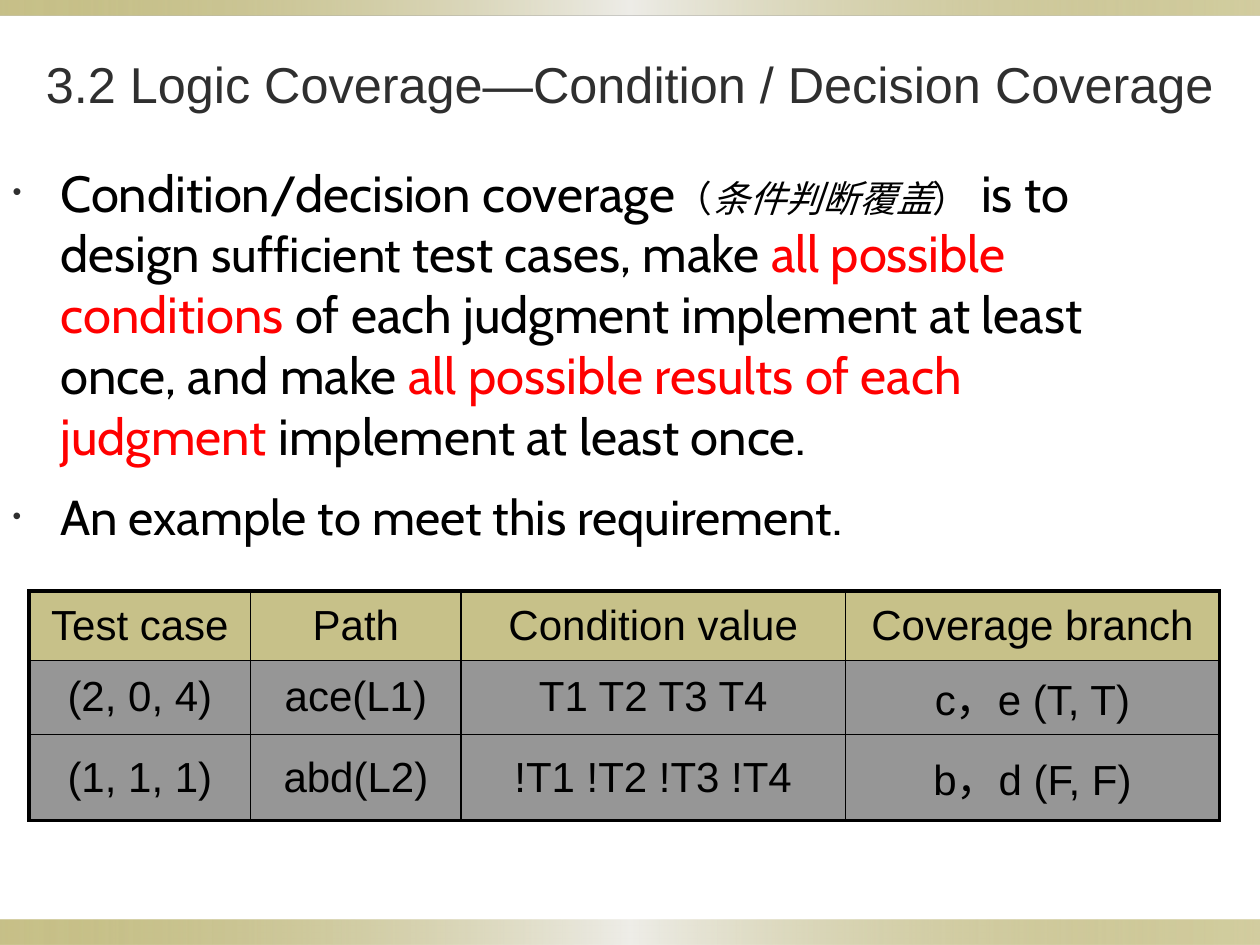
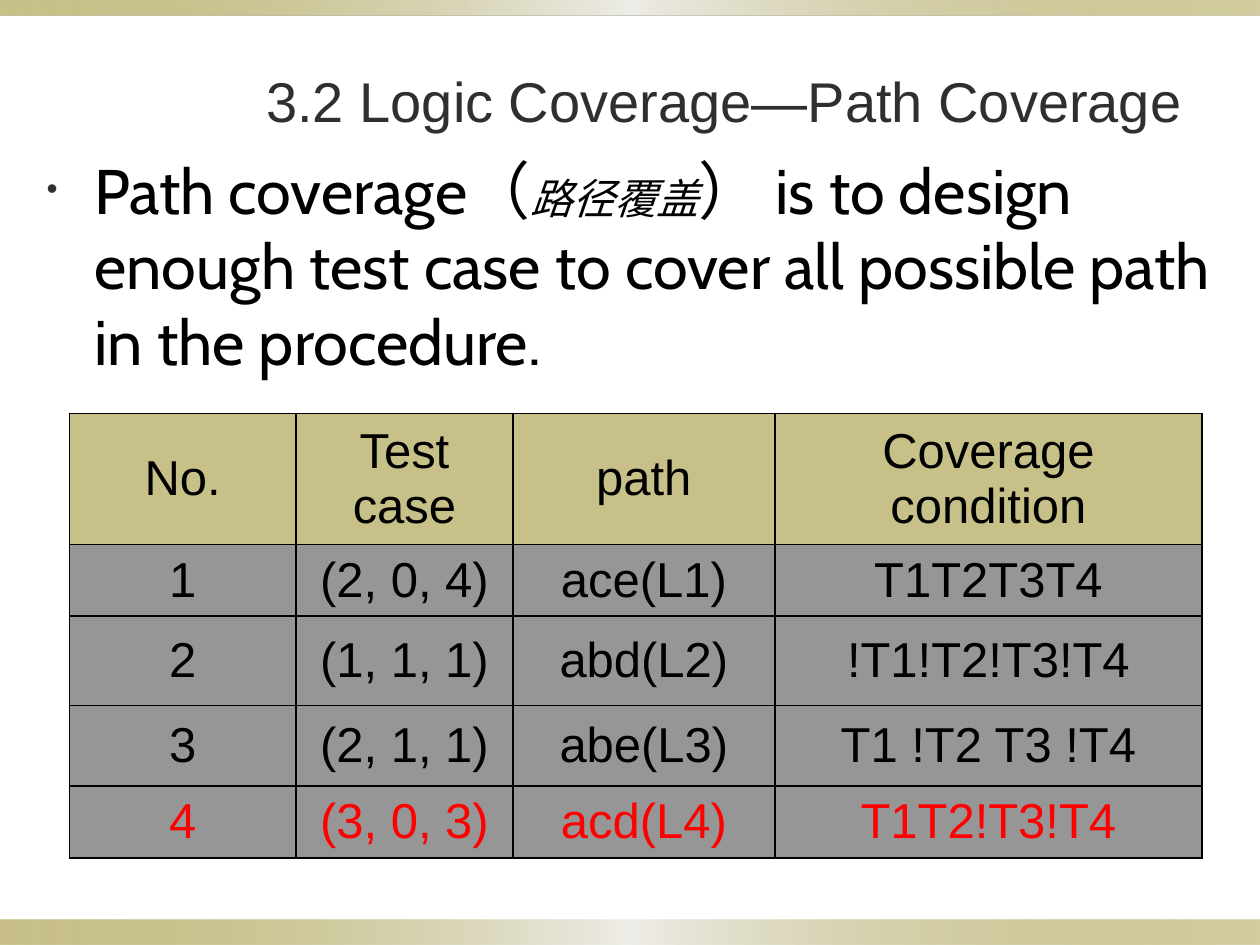
from lxml.etree import SubElement
from pptx import Presentation
from pptx.dml.color import RGBColor
from pptx.enum.shapes import MSO_SHAPE
from pptx.enum.text import MSO_ANCHOR, MSO_AUTO_SIZE, PP_ALIGN
from pptx.oxml.ns import qn
from pptx.util import Inches, Pt

OLIVE = RGBColor(0x91, 0x84, 0x15)
PALE = RGBColor(0xEE, 0xED, 0xE8)
DARK = RGBColor(0x2F, 0x2F, 0x2F)
BLACK = RGBColor(0, 0, 0)
RED = RGBColor(0xFF, 0, 0)
HEADING_FONT = "Arial"
BODY_FONT = "Cabin"
THIN, THICK = 1, 2.25


def add_color(parent, color, opacity=100):
    element = SubElement(parent, qn("a:srgbClr"), val=str(color))
    if opacity < 100:
        SubElement(element, qn("a:alpha"), val=str(opacity * 1000))


class Lesson:
    def __init__(self):
        self.deck = Presentation()
        self.deck.slide_width = Inches(10)
        self.deck.slide_height = Inches(7.5)
        self.page = None

    def add_page(self):
        self.page = self.deck.slides.add_slide(self.deck.slide_layouts[1])
        self.add_band(0, 0.12)
        self.add_band(7.3, 0.2)

    def add_band(self, top, height):
        shapes = self.page.shapes
        band = shapes.add_shape(MSO_SHAPE.RECTANGLE, 0, Inches(top), Inches(10), Inches(height))
        band.shadow.inherit = False
        band.line.fill.background()
        band.fill.gradient()
        band.fill.gradient_angle = 0
        stops = band._element.spPr.find(".//" + qn("a:gsLst"))
        stops.clear()
        for position, color, opacity in ((0, OLIVE, 50), (50, PALE, 100), (100, OLIVE, 40)):
            stop = SubElement(stops, qn("a:gs"), pos=str(position * 1000))
            add_color(stop, color, opacity)
        shapes._spTree.insert(2, band._element)

    def place(self, box, left, top, width, height):
        box.left, box.top = Inches(left), Inches(top)
        box.width, box.height = Inches(width), Inches(height)
        box.text_frame.auto_size = MSO_AUTO_SIZE.NONE
        box.text_frame.word_wrap = True

    def add_span(self, para, text, size, color=BLACK, font=BODY_FONT, italic=False):
        span = para.add_run()
        span.text = text
        span.font.name = font
        span.font.size = Pt(size)
        span.font.color.rgb = color
        span.font.italic = italic

    def add_title(self, text, size, *bounds):
        box = self.page.shapes.title
        self.place(box, *bounds)
        box.text_frame.vertical_anchor = MSO_ANCHOR.MIDDLE
        para = box.text_frame.paragraphs[0]
        para.alignment = PP_ALIGN.CENTER
        self.add_span(para, text, size, DARK, HEADING_FONT)

    def add_bullet(self, para):
        settings = para._p.get_or_add_pPr()
        settings.set("marL", str(Inches(0.38)))
        settings.set("indent", str(-Inches(0.38)))
        add_color(SubElement(settings, qn("a:buClr")), DARK)
        SubElement(settings, qn("a:buSzPct"), val="50000")
        SubElement(settings, qn("a:buFont"), typeface=HEADING_FONT)
        SubElement(settings, qn("a:buChar"), char="•")

    def add_list(self, items, *bounds):
        """Each item is a list of (text, size, optional style) spans."""
        box = self.page.placeholders[1]
        self.place(box, *bounds)
        for index, spans in enumerate(items):
            frame = box.text_frame
            para = frame.add_paragraph() if index else frame.paragraphs[0]
            self.add_bullet(para)
            para.space_before = Pt(11.6 if index else 0)
            for text, size, *style in spans:
                self.add_span(para, text, size, **(style[0] if style else {}))

    def add_cell(self, cell, text, size, color, fill, borders):
        cell.vertical_anchor = MSO_ANCHOR.MIDDLE
        para = cell.text_frame.paragraphs[0]
        para.alignment = PP_ALIGN.CENTER
        self.add_span(para, text, size, color, HEADING_FONT)
        settings = cell._tc.get_or_add_tcPr()
        for side, width in zip("LRTB", borders):
            line = SubElement(settings, qn(f"a:ln{side}"), w=str(Pt(width)))
            add_color(SubElement(line, qn("a:solidFill")), BLACK)
        add_color(SubElement(settings, qn("a:solidFill")), fill, 50)

    def add_table(self, rows, left, top, widths, heights, size, frame_width=THIN, red_row=None):
        bottom, right = len(rows) - 1, len(widths) - 1
        table = self.page.shapes.add_table(
            len(rows), len(widths), Inches(left), Inches(top),
            Inches(sum(widths)), Inches(sum(heights))).table
        table.first_row = table.horz_banding = False
        for column, width in zip(table.columns, widths):
            column.width = Inches(width)
        for r, (texts, height) in enumerate(zip(rows, heights)):
            table.rows[r].height = Inches(height)
            for c, text in enumerate(texts):
                on_frame = (c == 0, c == right, r == 0, r == bottom)
                borders = [frame_width if outer else THIN for outer in on_frame]
                self.add_cell(table.cell(r, c), text, size,
                              RED if r == red_row else BLACK,
                              DARK if r else OLIVE, borders)


def add_condition_decision_page(lesson):
    lesson.add_page()
    lesson.add_title("3.2 Logic Coverage—Condition / Decision Coverage", 28.8, 0, 0.17, 10, 0.98)
    red = {"color": RED}
    lesson.add_list([
        [("Condition/decision coverage", 29),
         ("（", 21),
         ("条件判断覆盖", 21, {"italic": True}),
         ("）", 21),
         (" is to design ", 29),
         ("sufficient ", 28),
         ("test cases, make ", 29),
         ("all possible conditions ", 29, red),
         ("of each judgment implement at least once, and make ", 29),
         ("all possible results of each judgment", 29, red),
         (" implement at least once.", 29)],
        [("An example to meet this requirement.", 28)],
    ], 0, 1.23, 9.21, 5.17)
    lesson.add_table([
        ("Test case", "Path", "Condition value", "Coverage branch"),
        ("(2, 0, 4)", "ace(L1)", "T1 T2 T3 T4", "c，e (T, T)"),
        ("(1, 1, 1)", "abd(L2)", "!T1 !T2 !T3 !T4", "b，d (F, F)"),
    ], 0.23, 4.69, (1.76, 1.67, 3.05, 2.97), (0.55, 0.59, 0.68), 24, THICK)


def add_path_page(lesson):
    lesson.add_page()
    lesson.add_title("3.2 Logic Coverage—Path Coverage", 32, 1.5, 0.17, 8.5, 1.25)
    lesson.add_list([
        [("Path coverage（", 36),
         ("路径覆盖", 24, {"italic": True}),
         ("） is to design enough test case to cover all possible path in the procedure.", 36)],
    ], 0.27, 1.15, 9.73, 5.17)
    lesson.add_table([
        ("No.", "Test case", "path", "Coverage condition"),
        ("1", "(2, 0, 4)", "ace(L1)", "T1T2T3T4"),
        ("2", "(1, 1, 1)", "abd(L2)", "!T1!T2!T3!T4"),
        ("3", "(2, 1, 1)", "abe(L3)", "T1 !T2 T3 !T4"),
        ("4", "(3, 0, 3)", "acd(L4)", "T1T2!T3!T4"),
    ], 0.55, 3.28, (1.8, 1.72, 2.08, 3.39), (1.04, 0.57, 0.71, 0.64, 0.57), 28, red_row=4)


def main():
    lesson = Lesson()
    add_condition_decision_page(lesson)
    add_path_page(lesson)
    lesson.deck.save("out.pptx")


if __name__ == "__main__":
    main()
